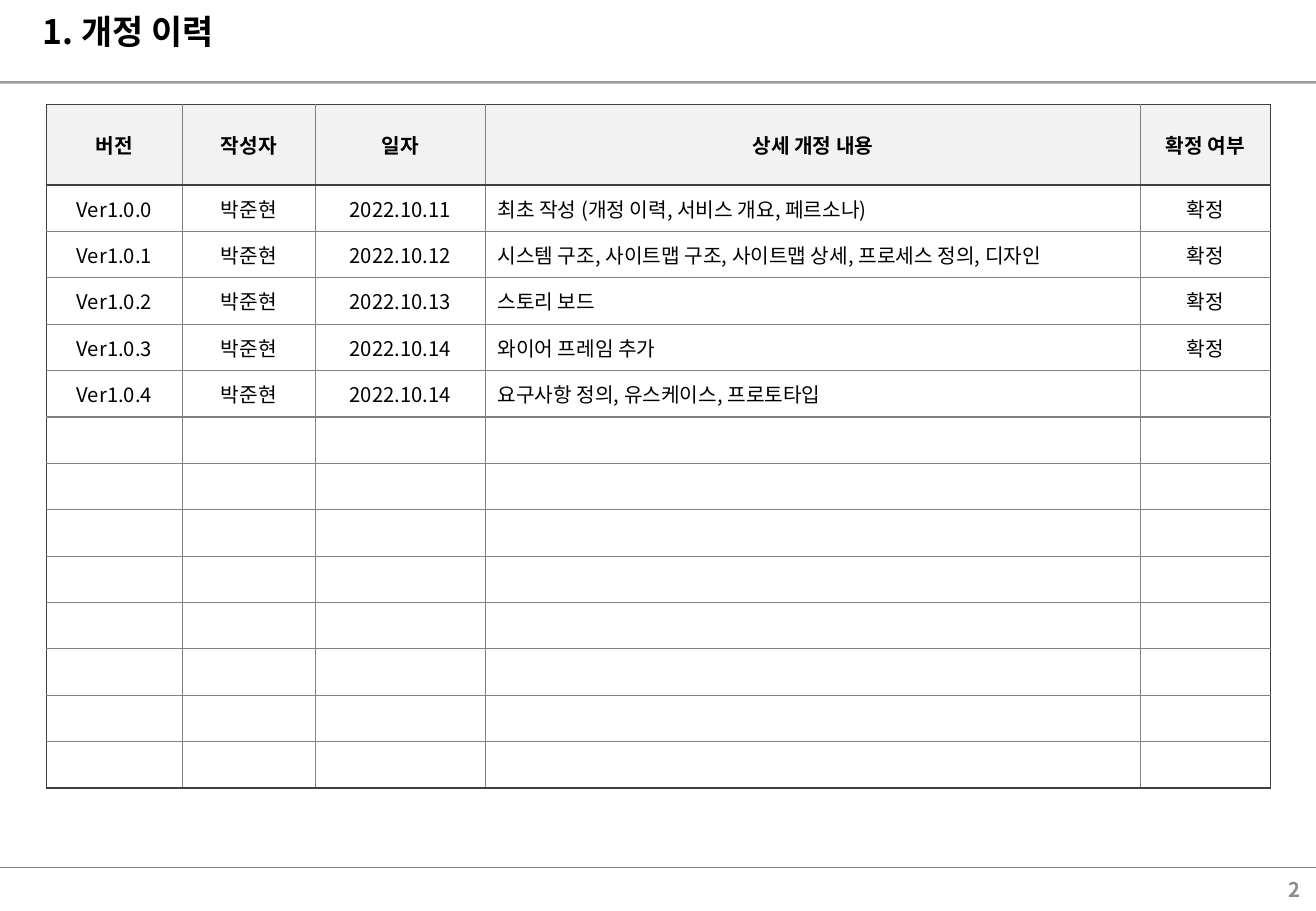
from dataclasses import dataclass

from lxml.etree import SubElement
from pptx import Presentation
from pptx.dml.color import RGBColor
from pptx.enum.shapes import MSO_CONNECTOR
from pptx.enum.text import MSO_ANCHOR, PP_ALIGN
from pptx.oxml.ns import qn
from pptx.util import Cm, Pt

FONT = "Noto Sans CJK KR"
COLORS = {"text": "000000", "head": "F2F2F2", "edge": "404040",
          "grid": "808080", "page": "8C8C8C"}
WIDTH, HEIGHT = 27.51, 19.05


@dataclass
class Rule:
    top: float
    weight: float
    alpha: int = 100


@dataclass
class Entry:
    version: str
    date: str
    detail: str
    state: str = "확정"
    author: str = "박준현"

    def cells(self) -> list[str]:
        return [self.version, self.author, self.date, self.detail, self.state]


RULES = [Rule(18.14, 0.75), Rule(1.72, 1.5, 76)]
HEADS = ["버전", "작성자", "일자", "상세 개정 내용", "확정 여부"]
WIDTHS = [2.84, 2.78, 3.56, 13.69, 2.72]
ENTRIES = [
    Entry("Ver1.0.0", "2022.10.11", "최초 작성 (개정 이력, 서비스 개요, 페르소나)"),
    Entry("Ver1.0.1", "2022.10.12",
          "시스템 구조, 사이트맵 구조, 사이트맵 상세, 프로세스 정의, 디자인"),
    Entry("Ver1.0.2", "2022.10.13", "스토리 보드"),
    Entry("Ver1.0.3", "2022.10.14", "와이어 프레임 추가"),
    Entry("Ver1.0.4", "2022.10.14", "요구사항 정의, 유스케이스, 프로토타입", ""),
]
ROWS, HEAD_TALL, ROW_TALL = 14, 1.69, 0.97
DETAIL = HEADS.index("상세 개정 내용")


def rgb(name: str) -> RGBColor:
    return RGBColor.from_string(COLORS[name])


def write(frame, text: str, size: float, bold: bool, color: str, align) -> None:
    frame.text = text
    para = frame.paragraphs[0]
    para.alignment = align
    if not text:
        # An empty line keeps the row height small
        SubElement(para._p, qn("a:endParaRPr"), sz=str(int(size * 100)))
    for run in para.runs:
        font = run.font
        font.name, font.size, font.bold = FONT, Pt(size), bold
        font.color.rgb = rgb(color)
        SubElement(run._r.get_or_add_rPr(), qn("a:ea"), typeface=FONT)


def draw_rule(slide, rule: Rule) -> None:
    line = slide.shapes.add_connector(
        MSO_CONNECTOR.STRAIGHT, 0, Cm(rule.top), Cm(WIDTH), Cm(rule.top))
    line.line.color.rgb = rgb("grid")
    line.line.width = Pt(rule.weight)
    props = line._element.spPr
    SubElement(props, qn("a:effectLst"))
    if rule.alpha < 100:
        tint = props.find(".//" + qn("a:srgbClr"))
        SubElement(tint, qn("a:alpha"), val=str(rule.alpha * 1000))


def add_edges(cell, row: int, col: int) -> None:
    outer = {"L": col == 0, "R": col == len(HEADS) - 1,
             "T": row in (0, 1), "B": row in (0, ROWS - 1)}
    for side, dark in outer.items():
        line = SubElement(cell._tc.get_or_add_tcPr(), qn(f"a:ln{side}"),
                          w=str(Pt(1 if dark else 0.75)))
        fill = SubElement(line, qn("a:solidFill"))
        SubElement(fill, qn("a:srgbClr"), val=COLORS["edge" if dark else "grid"])


def draw_table(slide) -> None:
    tall = HEAD_TALL + ROW_TALL * (ROWS - 1)
    table = slide.shapes.add_table(ROWS, len(HEADS), Cm(0.97), Cm(2.18),
                                   Cm(sum(WIDTHS)), Cm(tall)).table
    table.first_row = table.horz_banding = False
    for column, width in zip(table.columns, WIDTHS):
        column.width = Cm(width)
    lines = [HEADS] + [entry.cells() for entry in ENTRIES]
    lines += [[""] * len(HEADS)] * (ROWS - len(lines))
    for row, texts in enumerate(lines):
        head = row == 0
        table.rows[row].height = Cm(HEAD_TALL if head else ROW_TALL)
        for col, text in enumerate(texts):
            cell = table.cell(row, col)
            cell.vertical_anchor = MSO_ANCHOR.MIDDLE
            left = col == DETAIL and not head
            write(cell.text_frame, text, 12, head, "text",
                  PP_ALIGN.LEFT if left else PP_ALIGN.CENTER)
            add_edges(cell, row, col)
            if head:
                cell.fill.solid()
                cell.fill.fore_color.rgb = rgb("head")
            else:
                cell.fill.background()


def draw_title(slide) -> None:
    title = slide.shapes.title
    title.left, title.top = Cm(0.64), Cm(0.23)
    title.width, title.height = Cm(26.49), Cm(1.24)
    frame = title.text_frame
    frame.vertical_anchor = MSO_ANCHOR.TOP
    frame.margin_top = 0
    write(frame, "1. 개정 이력", 20, True, "text", PP_ALIGN.LEFT)


def draw_page(slide) -> None:
    box = slide.shapes.add_textbox(Cm(21.23), Cm(18.21), Cm(6.2), Cm(0.79))
    box.text_frame.word_wrap = True
    box.text_frame.vertical_anchor = MSO_ANCHOR.MIDDLE
    write(box.text_frame, "2", 12, True, "page", PP_ALIGN.RIGHT)


def main() -> None:
    deck = Presentation()
    deck.slide_width, deck.slide_height = Cm(WIDTH), Cm(HEIGHT)
    slide = deck.slides.add_slide(deck.slide_layouts[5])
    # Header and footer rules
    for rule in RULES:
        draw_rule(slide, rule)
    # Revision history
    draw_table(slide)
    # Title and page number
    draw_title(slide)
    draw_page(slide)
    deck.save("out.pptx")


if __name__ == "__main__":
    main()
